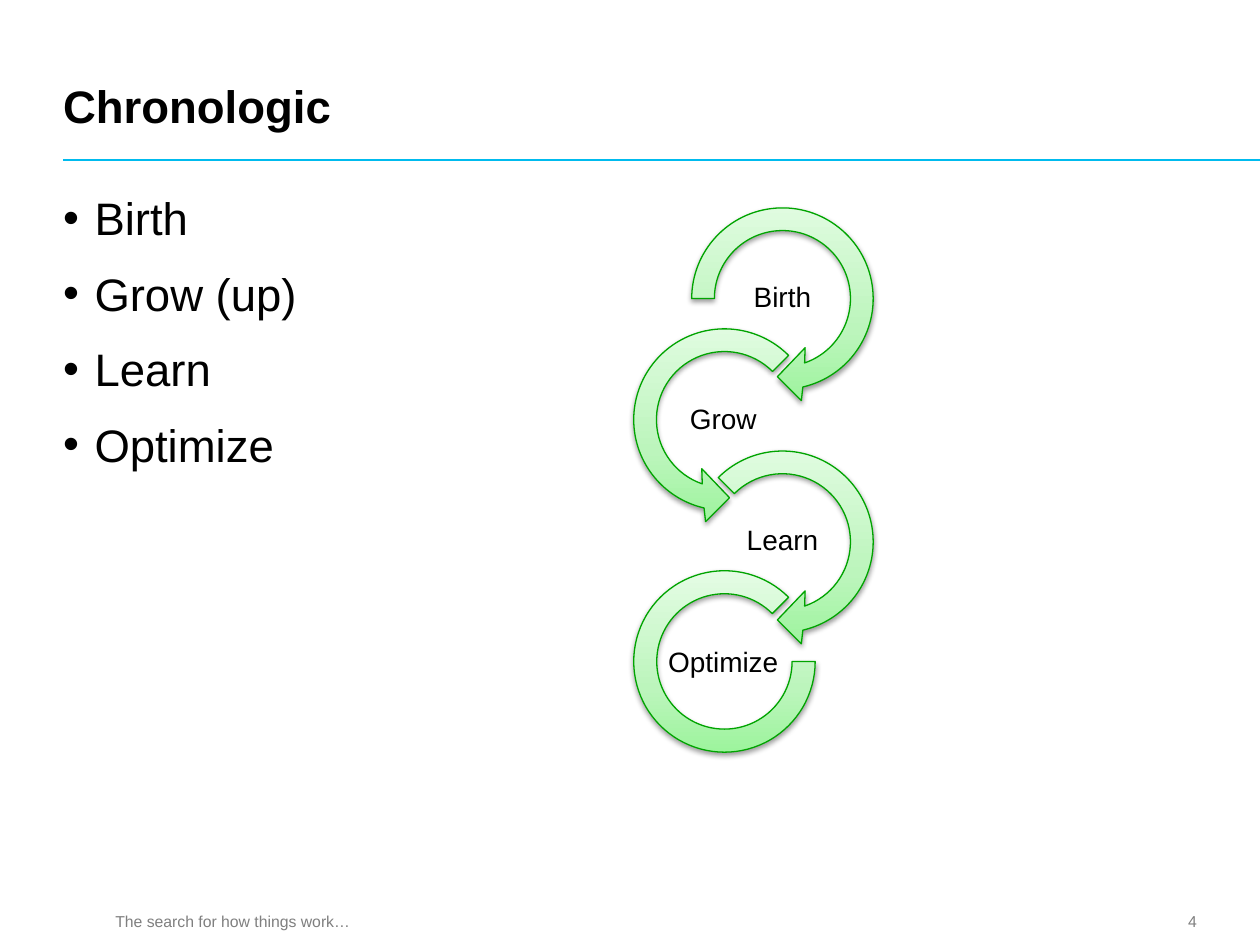
"""Build the Chronologic slide: a bullet list beside a chain of circular arrows."""
from math import cos, radians, sin, tan

from lxml import etree
from pptx import Presentation
from pptx.dml.color import RGBColor
from pptx.enum.shapes import MSO_CONNECTOR as CONN, MSO_SHAPE as SHAPE
from pptx.enum.text import MSO_ANCHOR as ANCHOR, MSO_AUTO_SIZE as AUTO, PP_ALIGN as ALIGN
from pptx.oxml import parse_xml
from pptx.oxml.ns import nsdecls, qn
from pptx.util import Inches, Pt

COLORS = {"rule": "00BBEE", "text": "000000", "footer": "7F7F7F", "edge": "00A400",
          "dark": "9DF49D", "mid": "BCF5BC", "light": "E4FCE4"}


def write(sp, box, lines, size, color, anchor=ANCHOR.TOP, align=ALIGN.LEFT,
          insets=(0, 0, 0, 0), bold=False, bullet=False, spacing=1.0):
    sp.left, sp.top, sp.width, sp.height = [Inches(v) for v in box]
    tf = sp.text_frame
    tf.text = "\n".join(lines)
    frame = {"word_wrap": True, "auto_size": AUTO.NONE, "vertical_anchor": anchor}
    for side, inset in zip(("left", "top", "right", "bottom"), insets):
        frame[f"margin_{side}"] = Inches(inset)
    for name, value in frame.items():
        setattr(tf, name, value)
    for i, p in enumerate(tf.paragraphs):
        p.alignment, p.line_spacing = align, spacing
        p.space_before = Pt(12 if i else 0)
        if bullet:
            pPr = p._p.get_or_add_pPr()
            pPr.set("marL", str(Inches(0.25)))
            pPr.set("indent", str(-Inches(0.25)))
            clr = etree.SubElement(pPr, qn("a:buClr"))
            etree.SubElement(clr, qn("a:srgbClr")).set("val", COLORS[color])
            etree.SubElement(pPr, qn("a:buFont")).set("typeface", "Arial")
            etree.SubElement(pPr, qn("a:buChar")).set("char", "•")
        for name, value in {"name": "Arial", "size": Pt(size), "bold": bold}.items():
            setattr(p.runs[0].font, name, value)
        p.runs[0].font.color.rgb = RGBColor.from_string(COLORS[color])


def arc_points(radius, start, end, pieces=3):
    step = radians(end - start) / pieces
    k = 4 / 3 * tan(step / 4)
    points = [(radius * cos(radians(start)), radius * sin(radians(start)))]
    for n in range(pieces):
        a = radians(start) + n * step
        b = a + step
        points += [(radius * (cos(a) - k * sin(a)), radius * (sin(a) + k * cos(a))),
                   (radius * (cos(b) + k * sin(b)), radius * (sin(b) - k * cos(b))),
                   (radius * cos(b), radius * sin(b))]
    return points


prs = Presentation()
prs.slide_width, prs.slide_height = Inches(10), Inches(7.5)
s = prs.slides.add_slide(prs.slide_layouts[1])

rule = s.shapes.add_connector(CONN.STRAIGHT, Inches(0.5), Inches(1.27), Inches(10), Inches(1.27))
rule.line.color.rgb = RGBColor.from_string(COLORS["rule"])
rule.line.width = Pt(1)
etree.SubElement(rule._element.spPr, qn("a:effectLst"))

write(s.shapes.title, (0.5, 0.19, 8.97, 0.86), ["Chronologic"], 26, "text",
      anchor=ANCHOR.BOTTOM, bold=True)
write(s.placeholders[1], (0.5, 1.51, 9, 2.42), ["Birth", "Grow (up)", "Learn", "Optimize"],
      26, "text", bullet=True)
write(s.shapes.add_textbox(0, 0, 0, 0), (0.49, 7.19, 2.81, 0.25),
      ["The search for how things work…"], 9, "footer", align=ALIGN.CENTER,
      insets=(0, 0.05, 0.1, 0.05))
write(s.shapes.add_textbox(0, 0, 0, 0), (8.91, 7.18, 0.59, 0.27), ["4"], 9, "footer",
      anchor=ANCHOR.MIDDLE, align=ALIGN.RIGHT)

OUTER, INNER, FRAME = 0.72, 0.54, 1.68
HEAD = [(0.15, 0.81), (-0.04, 0.62), (0.18, 0.39)]
STOPS = "".join(f'<a:gs pos="{pos}"><a:srgbClr val="{COLORS[name]}"/></a:gs>'
                for pos, name in ((0, "dark"), (35000, "mid"), (100000, "light")))
GRADIENT = (f'<a:gradFill {nsdecls("a")} rotWithShape="1"><a:gsLst>{STOPS}</a:gsLst>'
            '<a:lin ang="16200000" scaled="0"/></a:gradFill>')
SHADOW = (f'<a:effectLst {nsdecls("a")}><a:outerShdw blurRad="{Pt(3.1)}" dist="{Pt(1.6)}" '
          'dir="5400000" rotWithShape="0"><a:srgbClr val="000000"><a:alpha val="38000"/>'
          '</a:srgbClr></a:outerShdw></a:effectLst>')

for label, side, cy, text_top in (("Birth", 1, 2.37, 2.13), ("Grow", -1, 3.33, 3.1),
                                  ("Learn", 1, 4.3, 4.06), ("Optimize", -1, 5.25, 5.03)):
    cx = 5.98 + 0.23 * side
    if label == "Optimize":
        ring = s.shapes.add_shape(SHAPE.BLOCK_ARC, Inches(cx - OUTER), Inches(cy - OUTER),
                                  Inches(2 * OUTER), Inches(2 * OUTER))
        for n, value in enumerate((0, 189, 0.127)):
            ring.adjustments[n] = value
    else:
        start = 180 if label == "Birth" else 225
        outline = arc_points(OUTER, start, 437) + HEAD + arc_points(INNER, 431, start)
        points = [(Inches(cx + side * x), Inches(cy + y)) for x, y in outline]
        fb = s.shapes.build_freeform(*points[0])
        fb.add_line_segments(points[1:], close=True)
        ring = fb.convert_to_shape()
        outline_xml = next(ring._element.iter(qn("a:path")))
        left, top = Inches(cx - FRAME / 2), Inches(cy - FRAME / 2)
        for pt in outline_xml.iter(qn("a:pt")):
            pt.set("x", str(int(pt.get("x")) + ring.left - left))
            pt.set("y", str(int(pt.get("y")) + ring.top - top))
        for name in ("w", "h"):
            outline_xml.set(name, str(Inches(FRAME)))
        ring.left, ring.top, ring.width, ring.height = left, top, Inches(FRAME), Inches(FRAME)
        lines = outline_xml.findall(qn("a:lnTo"))
        for first in (0, 3, 6, 13, 16, 19):
            curve = etree.Element(qn("a:cubicBezTo"))
            lines[first].addprevious(curve)
            for line in lines[first:first + 3]:
                curve.append(line[0])
                outline_xml.remove(line)
    ring.line.color.rgb = RGBColor.from_string(COLORS["edge"])
    ring.line.width = Pt(0.75)
    spPr = ring._element.spPr
    spPr.find(qn("a:ln")).addprevious(parse_xml(GRADIENT))
    spPr.append(parse_xml(SHADOW))
    write(s.shapes.add_textbox(0, 0, 0, 0), (5.74 if side == 1 else 5.27, text_top, 0.94, 0.47),
          [label], 16, "text", anchor=ANCHOR.MIDDLE, align=ALIGN.CENTER,
          insets=(0.01, 0.01, 0.01, 0.01), spacing=0.9)

prs.save("out.pptx")
